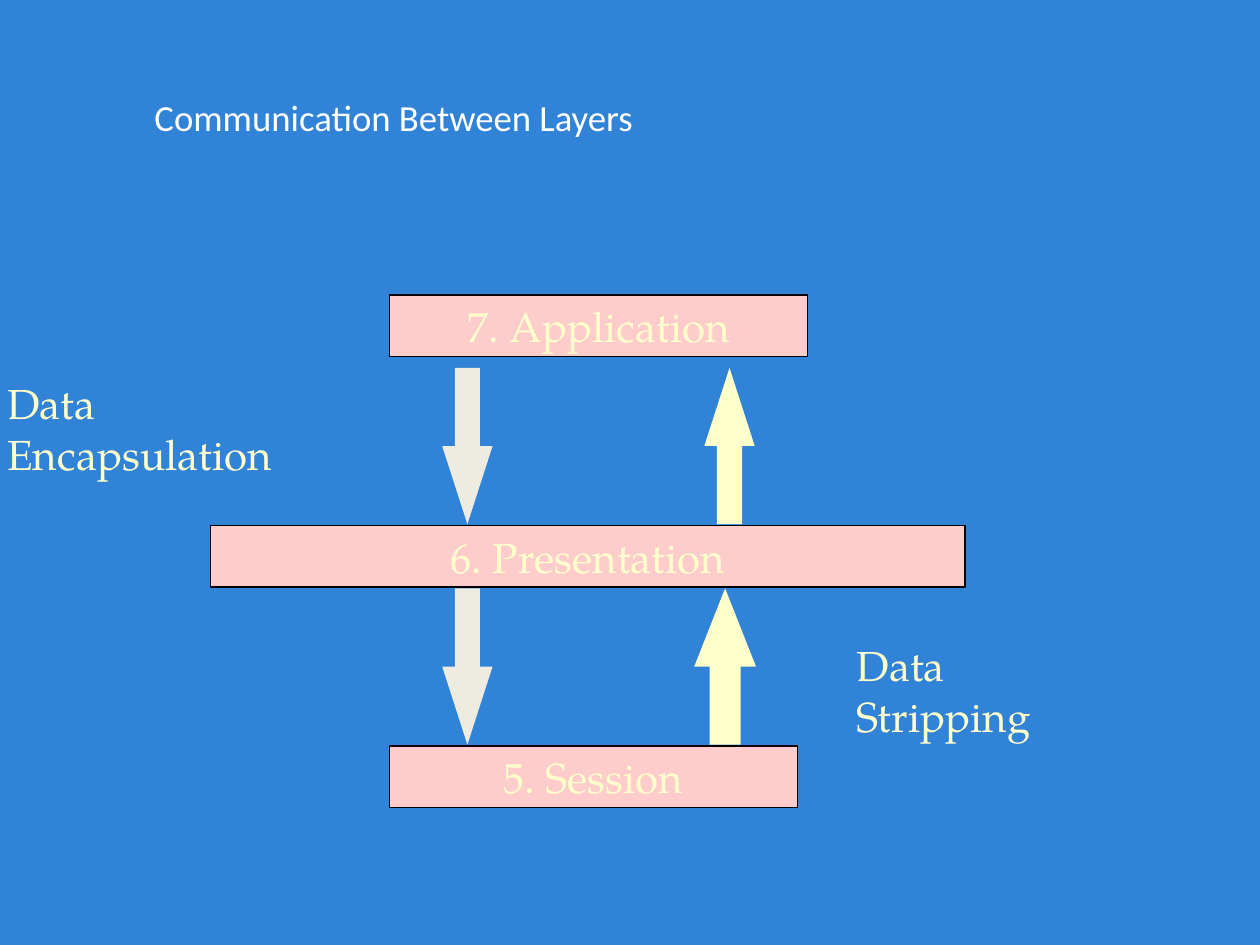
from pptx import Presentation
from pptx.dml.color import RGBColor
from pptx.enum.shapes import MSO_SHAPE
from pptx.enum.text import MSO_ANCHOR, PP_ALIGN
from pptx.util import Inches, Pt

RECTANGLE = MSO_SHAPE.RECTANGLE
DOWN, UP = MSO_SHAPE.DOWN_ARROW, MSO_SHAPE.UP_ARROW
MIDDLE, TOP = MSO_ANCHOR.MIDDLE, MSO_ANCHOR.TOP
CENTER, LEFT = PP_ALIGN.CENTER, PP_ALIGN.LEFT

COLUMNS, ROWS = 100, 75
CELL = Inches(0.1)
LAYER_HEIGHT, ARROW_HEIGHT, ARROW_GAP = 4.9, 12.4, 0.1


def color(hex_string):
    return RGBColor.from_string(hex_string)


class LayerSlide:
    background = "3083D6"
    layer_fill, outline = "FFCCCC", "000000"
    cream, gray, white = "FFFFCC", "EEECE1", "FFFFFF"
    title_font, body_font = "Calibri", "TeX Gyre Pagella"
    title_size, body_size = 21, 24

    def __init__(self, presentation):
        self.slide = presentation.slides.add_slide(presentation.slide_layouts[5])
        fill = self.slide.background.fill
        fill.solid()
        fill.fore_color.rgb = color(self.background)

    def box(self, *cells):
        """Turn left, top, width and height in grid cells into lengths."""
        return [round(cell * CELL) for cell in cells]

    def set_text(self, frame, lines, font, size, ink, align, anchor):
        frame.vertical_anchor = anchor
        for index, line in enumerate(lines):
            paragraph = frame.add_paragraph() if index else frame.paragraphs[0]
            paragraph.alignment = align
            run = paragraph.add_run()
            run.text = line
            run.font.name = font
            run.font.size = Pt(size)
            run.font.color.rgb = color(ink)

    def title(self, heading, *cells):
        title = self.slide.shapes.title
        title.left, title.top, title.width, title.height = self.box(*cells)
        self.set_text(title.text_frame, [heading], self.title_font,
                      self.title_size, self.white, CENTER, MIDDLE)

    def filled(self, kind, fill, *cells):
        shape = self.slide.shapes.add_shape(kind, *self.box(*cells))
        shape.shadow.inherit = False
        shape.fill.solid()
        shape.fill.fore_color.rgb = color(fill)
        return shape

    def layer(self, name, left, top, width):
        bar = self.filled(RECTANGLE, self.layer_fill, left, top, width, LAYER_HEIGHT)
        bar.line.color.rgb = color(self.outline)
        bar.line.width = Pt(0.75)
        bar.text_frame.word_wrap = False
        self.set_text(bar.text_frame, [name], self.body_font, self.body_size,
                      self.cream, CENTER, MIDDLE)

    def arrow(self, kind, fill, left, lower_layer_top, width):
        """Add an arrow that stands on a layer, its head half its height."""
        top = lower_layer_top - ARROW_GAP - ARROW_HEIGHT
        arrow = self.filled(kind, fill, left, top, width, ARROW_HEIGHT)
        arrow.line.fill.background()
        arrow.adjustments[0] = 0.5
        arrow.adjustments[1] = ARROW_HEIGHT / 2 / width

    def label(self, lines, *cells):
        label = self.slide.shapes.add_textbox(*self.box(*cells))
        label.text_frame.word_wrap = True
        self.set_text(label.text_frame, lines, self.body_font, self.body_size,
                      self.cream, LEFT, TOP)


def main():
    presentation = Presentation()
    presentation.slide_width = COLUMNS * CELL
    presentation.slide_height = ROWS * CELL

    page = LayerSlide(presentation)
    page.title("Communication Between Layers", 5, 3, 52.5, 12.5)

    application_top, presentation_top, session_top = 23.4, 41.7, 59.2
    page.layer("7. Application", 30.9, application_top, 33.2)
    page.layer("6. Presentation", 16.7, presentation_top, 59.9)
    page.layer("5. Session", 30.9, session_top, 32.4)

    for lower_top, up_left, up_width in ((presentation_top, 55.9, 4),
                                         (session_top, 55.1, 4.9)):
        page.arrow(DOWN, page.gray, 35.1, lower_top, 4)
        page.arrow(UP, page.cream, up_left, lower_top, up_width)

    page.label(["Data", "Encapsulation"], -0.4, 29.5, 24.7, 9)
    page.label(["Data", "Stripping"], 67, 50.3, 16.8, 9)

    presentation.save("out.pptx")


if __name__ == "__main__":
    main()
